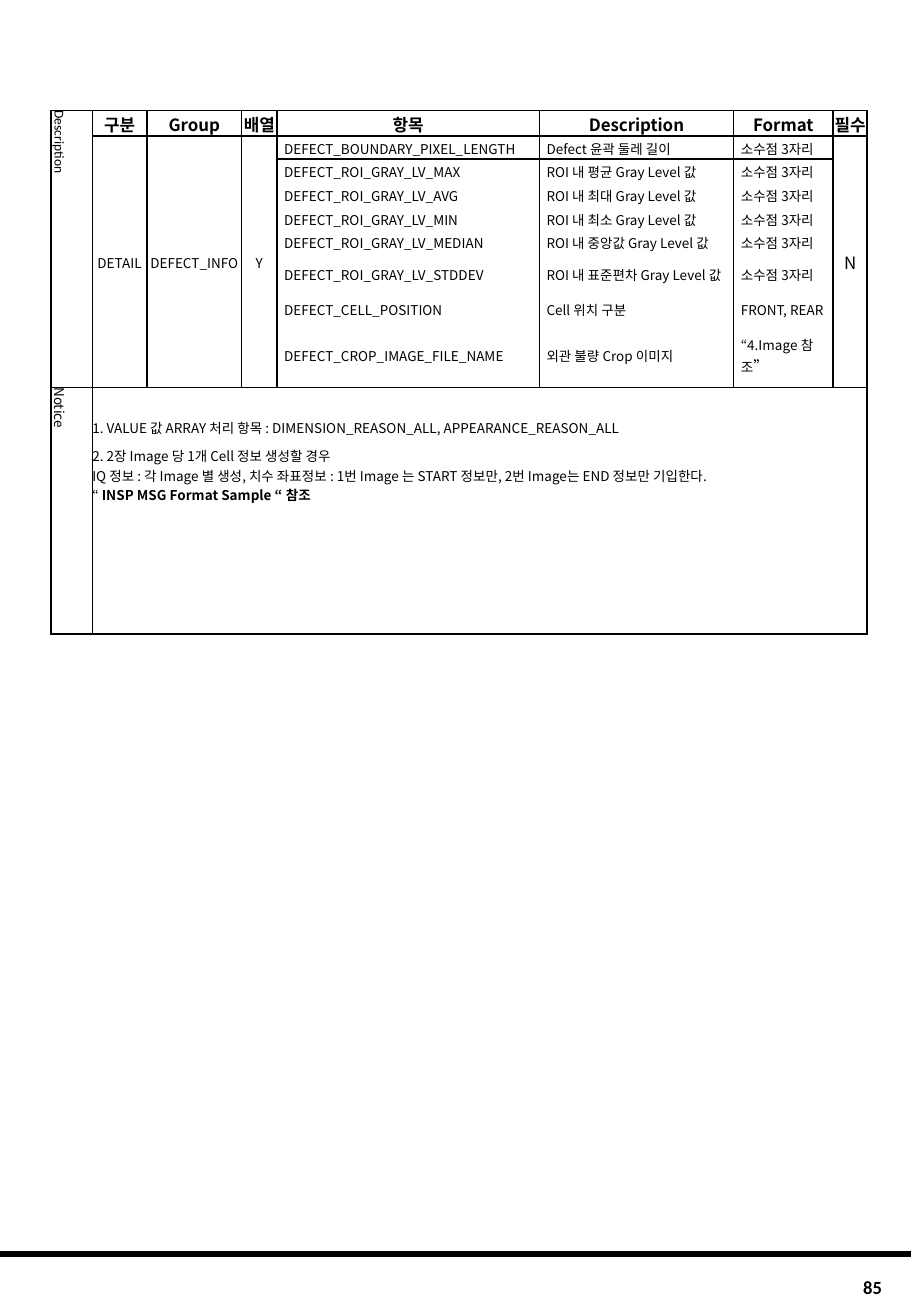
"""Build the DEFECT_INFO message table slide."""
from lxml.etree import SubElement
from pptx import Presentation
from pptx.dml.color import RGBColor
from pptx.enum.shapes import MSO_CONNECTOR as Connector
from pptx.enum.text import MSO_ANCHOR as Anchor, PP_ALIGN as Align
from pptx.oxml.ns import qn
from pptx.util import Inches, Pt

BLACK = "000000"
KOREAN = "Noto Sans CJK KR"
PLAIN_TABLE_STYLE = "{2D5ABB26-0587-4C30-8999-92F81FD0307C}"
BORDER_TAGS = {"l": "a:lnL", "r": "a:lnR", "t": "a:lnT", "b": "a:lnB"}


def write(paragraph, text, size=8, font=KOREAN, bold=False, align=Align.LEFT):
    paragraph.alignment = align
    run = paragraph.add_run()
    run.text = text
    run.font.size = Pt(size)
    run.font.bold = bold
    run.font.name = font
    run.font.color.rgb = RGBColor.from_string(BLACK)
    SubElement(run.font._element, qn("a:ea"), typeface=font)
    return run


def format_cell(cell, left=0, top=0.01, borders="lrtb", vertical=False):
    cell.margin_left, cell.margin_top = Inches(left), Inches(top)
    cell.margin_right = cell.margin_bottom = 0
    cell.vertical_anchor = Anchor.MIDDLE
    properties = cell._tc.get_or_add_tcPr()
    if vertical:
        properties.set("vert", "vert")
    for side, tag in BORDER_TAGS.items():
        if side in borders:
            line = SubElement(properties, qn(tag), w=str(Pt(1)))
            fill = SubElement(line, qn("a:solidFill"))
            SubElement(fill, qn("a:srgbClr"), val=BLACK)
    cell.fill.background()


presentation = Presentation()
presentation.slide_width, presentation.slide_height = Inches(7.5), Inches(10.83)
slide = presentation.slides.add_slide(presentation.slide_layouts[6])

footer_line = slide.shapes.add_connector(
    Connector.STRAIGHT, 0, Inches(10.32), presentation.slide_width, Inches(10.32))
footer_line.line.color.rgb = RGBColor.from_string(BLACK)
footer_line.line.width = Pt(3)
SubElement(footer_line._element.spPr, qn("a:effectLst"))

page_number = slide.shapes.add_textbox(Inches(6.18), Inches(10.45), Inches(1.18), Inches(0.28))
page_number.text_frame.word_wrap = True
page_number.text_frame.vertical_anchor = Anchor.MIDDLE
write(page_number.text_frame.paragraphs[0], "85", size=11, font="Calibri", bold=True,
      align=Align.RIGHT)

column_widths = [0.34, 0.45, 0.78, 0.29, 2.16, 1.6, 0.82, 0.28]
row_heights = [0.21, 0.19, 0.19, 0.21, 0.19, 0.19, 0.33, 0.24, 0.48, 2.03]
headers = ["구분", "Group", "배열", "항목", "Description", "Format", "필수"]
decimals = "소수점 3자리"
items = [
    ("DEFECT_BOUNDARY_PIXEL_LENGTH", "Defect 윤곽 둘레 길이", decimals),
    ("DEFECT_ROI_GRAY_LV_MAX", "ROI 내 평균 Gray Level 값", decimals),
    ("DEFECT_ROI_GRAY_LV_AVG", "ROI 내 최대 Gray Level 값", decimals),
    ("DEFECT_ROI_GRAY_LV_MIN", "ROI 내 최소 Gray Level 값", decimals),
    ("DEFECT_ROI_GRAY_LV_MEDIAN", "ROI 내 중앙값 Gray Level 값", decimals),
    ("DEFECT_ROI_GRAY_LV_STDDEV", "ROI 내 표준편차 Gray Level 값", decimals),
    ("DEFECT_CELL_POSITION", "Cell 위치 구분", "FRONT, REAR"),
    ("DEFECT_CROP_IMAGE_FILE_NAME", "외관 불량 Crop 이미지", "“4.Image 참조"),
]
last_item, notice_row = len(items), len(items) + 1

frame = slide.shapes.add_table(
    len(row_heights), len(column_widths), Inches(0.42), Inches(0.91),
    Inches(sum(column_widths)), Inches(sum(row_heights)))
table = frame.table
table.first_row = table.horz_banding = False
for style in frame._element.iter(qn("a:tableStyleId")):
    style.text = PLAIN_TABLE_STYLE
for column, width in zip(table.columns, column_widths):
    column.width = Inches(width)
for row, height in zip(table.rows, row_heights):
    row.height = Inches(height)

table.cell(0, 0).merge(table.cell(last_item, 0))
for column in (1, 2, 3, 7):
    table.cell(1, column).merge(table.cell(last_item, column))
table.cell(notice_row, 1).merge(table.cell(notice_row, 7))

for row, label, font in ((0, "Description", "Calibri"), (notice_row, "Notice", KOREAN)):
    cell = table.cell(row, 0)
    format_cell(cell, vertical=True)
    write(cell.text_frame.paragraphs[0], label, font=font)

for column, header in enumerate(headers, start=1):
    cell = table.cell(0, column)
    format_cell(cell)
    write(cell.text_frame.paragraphs[0], header, size=10, bold=True, align=Align.CENTER)

for column, value, size in ((1, "DETAIL", 8), (2, "DEFECT_INFO", 8), (3, "Y", 8), (7, "N", 10)):
    cell = table.cell(1, column)
    format_cell(cell)
    write(cell.text_frame.paragraphs[0], value, size=size, align=Align.CENTER)

for row, item in enumerate(items, start=1):
    borders = "lr" + ("t" if row == 1 else "") + ("b" if row == last_item else "")
    for column, value in enumerate(item, start=4):
        cell = table.cell(row, column)
        format_cell(cell, left=0.06, borders=borders)
        write(cell.text_frame.paragraphs[0], value)
write(table.cell(last_item, 6).text_frame.paragraphs[0], "”", size=9)

notice = table.cell(notice_row, 1)
format_cell(notice, top=0.19)
notice.vertical_anchor = Anchor.TOP
notice_lines = [
    ("1. VALUE 값 ARRAY 처리 항목 : DIMENSION_REASON_ALL, APPEARANCE_REASON_ALL", 1.4),
    ("2. 2장 Image 당 1개 Cell 정보 생성할 경우", 1.4),
    ("IQ 정보 : 각 Image 별 생성, 치수 좌표정보 : 1번 Image 는 START 정보만, "
     "2번 Image는 END 정보만 기입한다.", 1),
    ("“", 1),
]
for index, (text, spacing) in enumerate(notice_lines):
    paragraph = notice.text_frame.add_paragraph() if index else notice.text_frame.paragraphs[0]
    paragraph.line_spacing = spacing
    write(paragraph, text)
write(paragraph, " INSP MSG Format Sample “ 참조", bold=True)

presentation.save("out.pptx")
